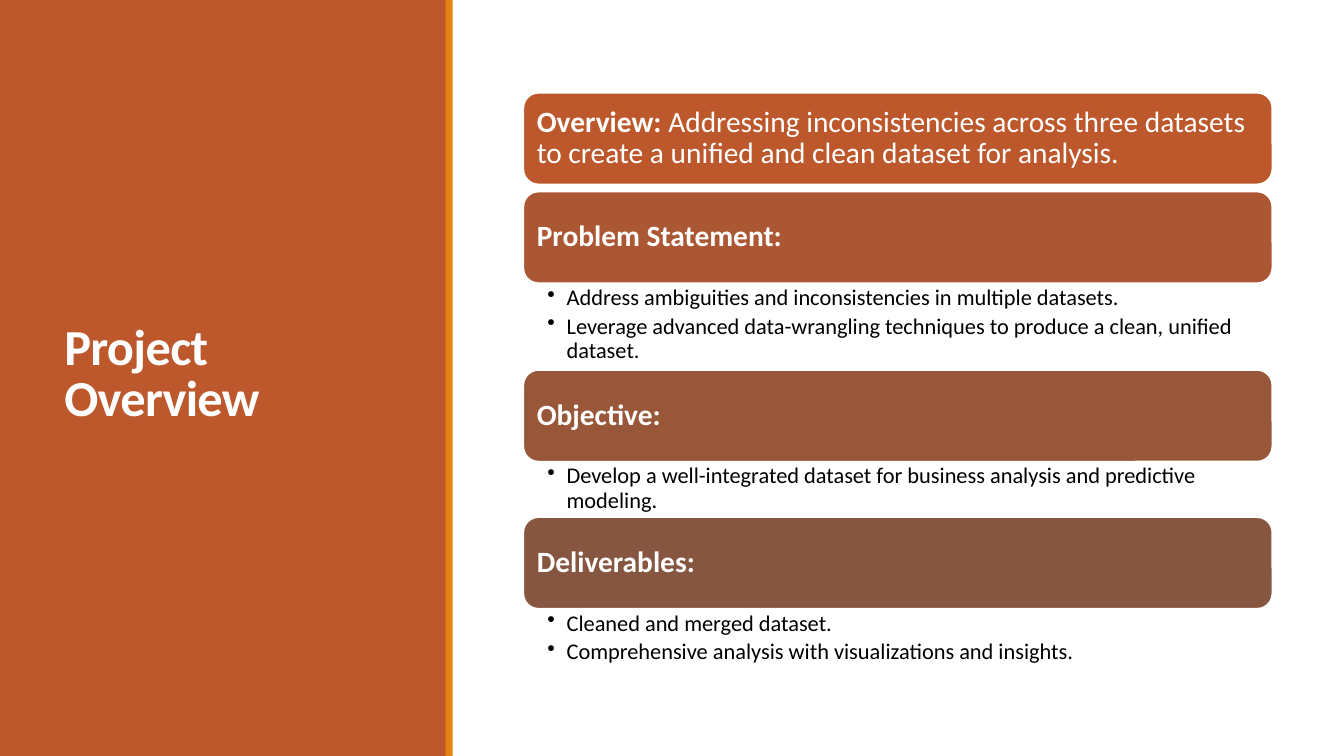
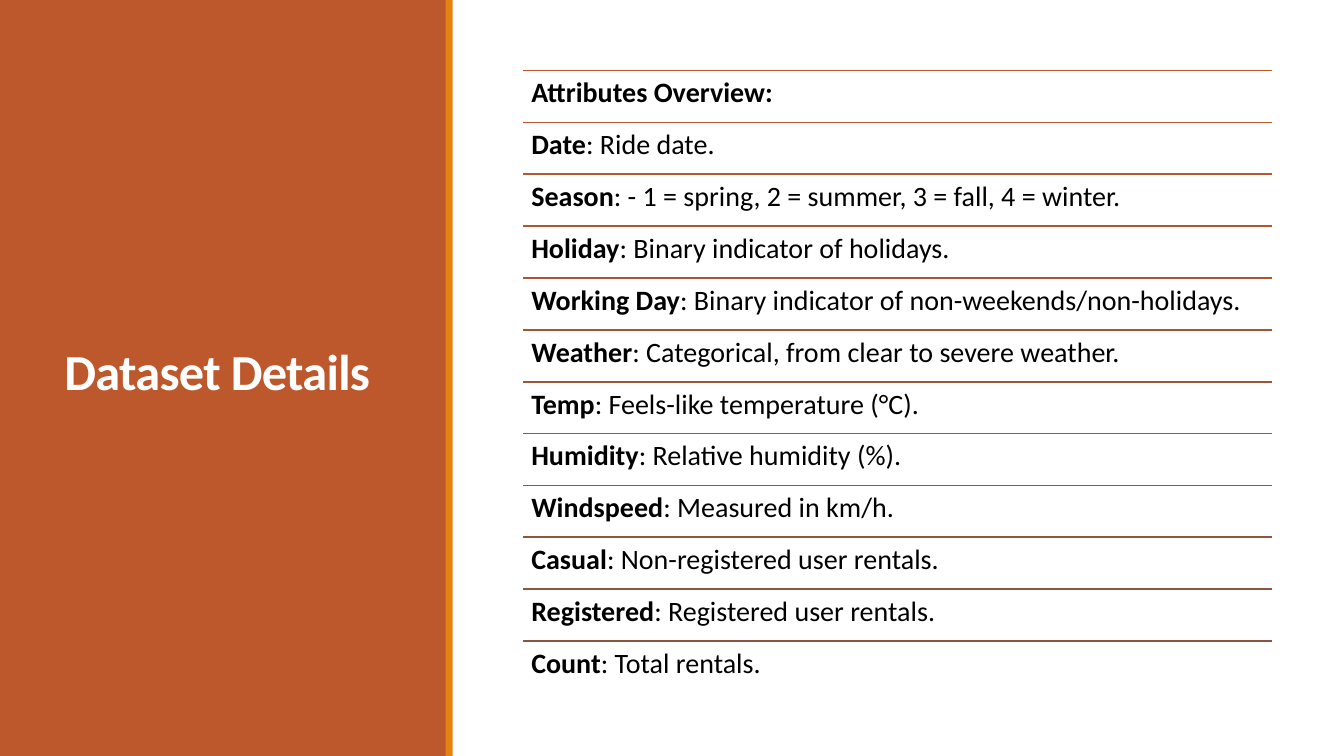
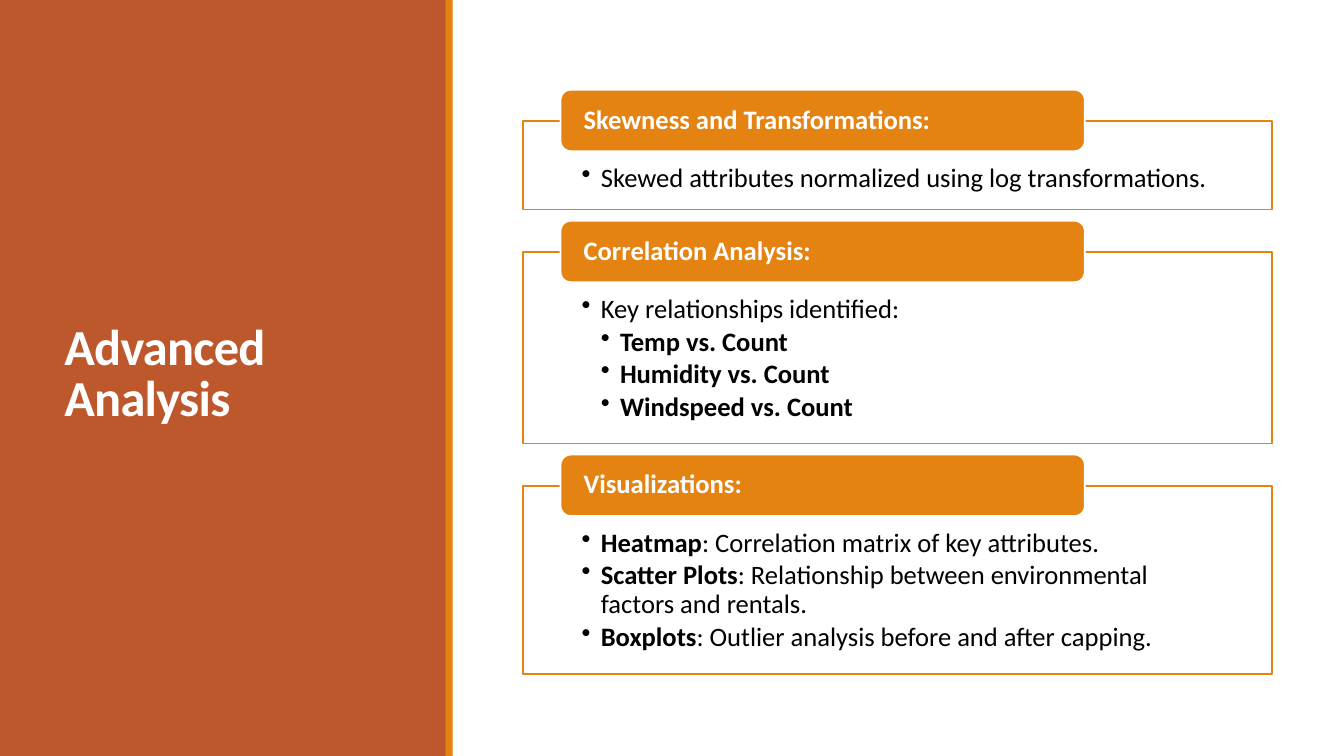
"""Build three slides on cleaning and analysing a ride dataset."""
from lxml import etree
from pptx import Presentation
from pptx.dml.color import RGBColor
from pptx.enum import shapes, text
from pptx.oxml import ns
from pptx.util import Inches, Pt

FONT = "Calibri"
RUST, BROWN, ORANGE = "BD582C", "865640", "E48312"
WHITE, BLACK = "FFFFFF", "000000"
LEFT, WIDTH = 5.19, 7.43
RECT = shapes.MSO_SHAPE.RECTANGLE
ROUND = shapes.MSO_SHAPE.ROUNDED_RECTANGLE
TOP, MIDDLE = text.MSO_ANCHOR.TOP, text.MSO_ANCHOR.MIDDLE

OVERVIEW = [
    ("Overview: |Addressing inconsistencies across three datasets to create "
     "a unified and clean dataset for analysis.", 0.07, []),
    ("Problem Statement:|", 0.86, [
        "Address ambiguities and inconsistencies in multiple datasets.",
        "Leverage advanced data-wrangling techniques to produce a clean, "
        "unified dataset."]),
    ("Objective:|", 0.55, [
        "Develop a well-integrated dataset for business analysis and "
        "predictive modeling."]),
    ("Deliverables:|", 0.61, [
        "Cleaned and merged dataset.",
        "Comprehensive analysis with visualizations and insights."]),
]

ATTRIBUTES = [
    "Attributes Overview:|",
    "Date|: Ride date.",
    "Season|: - 1 = spring, 2 = summer, 3 = fall, 4 = winter.",
    "Holiday|: Binary indicator of holidays.",
    "Working Day|: Binary indicator of non-weekends/non-holidays.",
    "Weather|: Categorical, from clear to severe weather.",
    "Temp|: Feels-like temperature (°C).",
    "Humidity|: Relative humidity (%).",
    "Windspeed|: Measured in km/h.",
    "Casual|: Non-registered user rentals.",
    "Registered|: Registered user rentals.",
    "Count|: Total rentals.",
]

ANALYSIS = [
    ("Skewness and Transformations:|", 0.88, [
        (1, "Skewed attributes normalized using log transformations.")]),
    ("Correlation Analysis:|", 1.9, [
        (1, "Key relationships identified:"),
        (2, "Temp vs. Count|"),
        (2, "Humidity vs. Count|"),
        (2, "Windspeed vs. Count|")]),
    ("Visualizations:|", 1.87, [
        (1, "Heatmap|: Correlation matrix of key attributes."),
        (1, "Scatter Plots|: Relationship between environmental factors "
            "and rentals."),
        (1, "Boxplots|: Outlier analysis before and after capping.")]),
]


def rgb(color):
    """Turn a hex string into a colour."""
    return RGBColor.from_string(color)


def blend(step, count):
    """Return the colour at one step of the way from rust to brown."""
    share = step / (count - 1)
    pairs = [(int(RUST[i:i + 2], 16), int(BROWN[i:i + 2], 16))
             for i in (0, 2, 4)]
    return "".join(f"{round(a + (b - a) * share):02X}" for a, b in pairs)


def add_box(s, kind, x, y, w, h, fill, line=None):
    """Add a filled preset shape without a shadow."""
    sp = s.shapes.add_shape(kind, Inches(x), Inches(y), Inches(w), Inches(h))
    sp.shadow.inherit = False
    sp.fill.solid()
    sp.fill.fore_color.rgb = rgb(fill)
    if line:
        sp.line.color.rgb = rgb(line)
        sp.line.width = Pt(1.25)
    else:
        sp.line.fill.background()
    return sp


def add_text(s, x, y, w, h):
    """Add an empty text box."""
    return s.shapes.add_textbox(Inches(x), Inches(y), Inches(w), Inches(h))


def add_rule(s, y, color):
    """Add a horizontal line across the content area."""
    line = s.shapes.add_connector(
        shapes.MSO_CONNECTOR.STRAIGHT,
        Inches(LEFT), Inches(y), Inches(LEFT + WIDTH), Inches(y))
    line.line.color.rgb = rgb(color)
    line.line.width = Pt(1.25)
    etree.SubElement(line._element.spPr, ns.qn("a:effectLst"))


def set_bullet(p, level):
    """Give a paragraph a hanging bullet at the given level."""
    pPr = p._p.get_or_add_pPr()
    pPr.set("marL", str(Inches(0.19 * level)))
    pPr.set("indent", str(Inches(-0.19)))
    etree.SubElement(pPr, ns.qn("a:buChar")).set("char", "•")


def write(sp, items, size, color, insets, anchor=TOP, spacing=0.9, after=0):
    """Write (level, text) items, with the part before a bar in bold."""
    tf = sp.text_frame
    tf.word_wrap = True
    tf.vertical_anchor = anchor
    (tf.margin_left, tf.margin_top,
     tf.margin_right, tf.margin_bottom) = map(Inches, insets)
    for i, (level, content) in enumerate(items):
        p = tf.add_paragraph() if i else tf.paragraphs[0]
        p.alignment = text.PP_ALIGN.LEFT
        p.line_spacing = spacing
        p.space_after = Pt(after)
        if level:
            set_bullet(p, level)
        bold, _, plain = content.rpartition("|")
        for part, is_bold in ((bold, True), (plain, False)):
            if part:
                r = p.add_run()
                r.text = part
                r.font.name = FONT
                r.font.size = Pt(size)
                r.font.bold = is_bold
                r.font.color.rgb = rgb(color)


def add_slide(prs, title):
    """Add a slide with the side panel, its edge and the title."""
    s = prs.slides.add_slide(prs.slide_layouts[6])
    add_box(s, RECT, 0, 0, 4.43, 7.5, RUST)
    sp = add_text(s, 0.54, 0.57, 3.37, 6.31)
    write(sp, [(0, title + "|")], 36, WHITE, (0.1, 0.05, 0.1, 0.05),
          MIDDLE, 0.85)
    for r in sp.text_frame.paragraphs[0].runs:
        r.font._element.set("spc", "-50")
    add_box(s, RECT, 4.42, 0, 0.07, 7.5, ORANGE)
    return s


def add_overview(s, sections):
    """Stack header bars, each followed by its bullets."""
    y, bar = 0.92, 0.91
    for i, (header, body, bullets) in enumerate(sections):
        sp = add_box(s, ROUND, LEFT, y, WIDTH, bar,
                     blend(i, len(sections)), WHITE)
        write(sp, [(0, header)], 21, WHITE, [0.09] * 4, MIDDLE)
        y += bar
        if bullets:
            write(add_text(s, LEFT, y, WIDTH, body),
                  [(1, b) for b in bullets], 16, BLACK,
                  (0.24, 0.03, 0.16, 0.03), after=3.2)
        y += body


def add_attributes(s, rows):
    """List the rows at equal steps, each under a rule."""
    top, step = 0.7, 5.66 / (len(rows) - 1)
    for i, row in enumerate(rows):
        y = top + i * step
        add_rule(s, y, blend(i, len(rows)))
        write(add_text(s, LEFT, y, WIDTH, step), [(0, row)], 20, BLACK,
              [0.08] * 4)


def add_analysis(s, sections):
    """Stack outlined boxes, each with a tab over its top edge."""
    y, rise, gap = 0.89, 0.31, 0.11
    for header, height, bullets in sections:
        sp = add_box(s, RECT, LEFT, y + rise, WIDTH, height, WHITE, ORANGE)
        write(sp, bullets, 19, BLACK, (0.58, 0.43, 0.58, 0.15), after=2.85)
        sp = add_box(s, ROUND, 5.56, y, 5.2, 0.61, ORANGE, WHITE)
        write(sp, [(0, header)], 19, WHITE, (0.2, 0, 0.2, 0), MIDDLE)
        y += rise + height + gap


def main():
    """Build and save the slides."""
    prs = Presentation()
    prs.slide_width, prs.slide_height = Inches(13.33), Inches(7.5)
    add_overview(add_slide(prs, "Project Overview"), OVERVIEW)
    add_attributes(add_slide(prs, "Dataset Details"), ATTRIBUTES)
    add_analysis(add_slide(prs, "Advanced Analysis"), ANALYSIS)
    prs.save("out.pptx")


if __name__ == "__main__":
    main()
